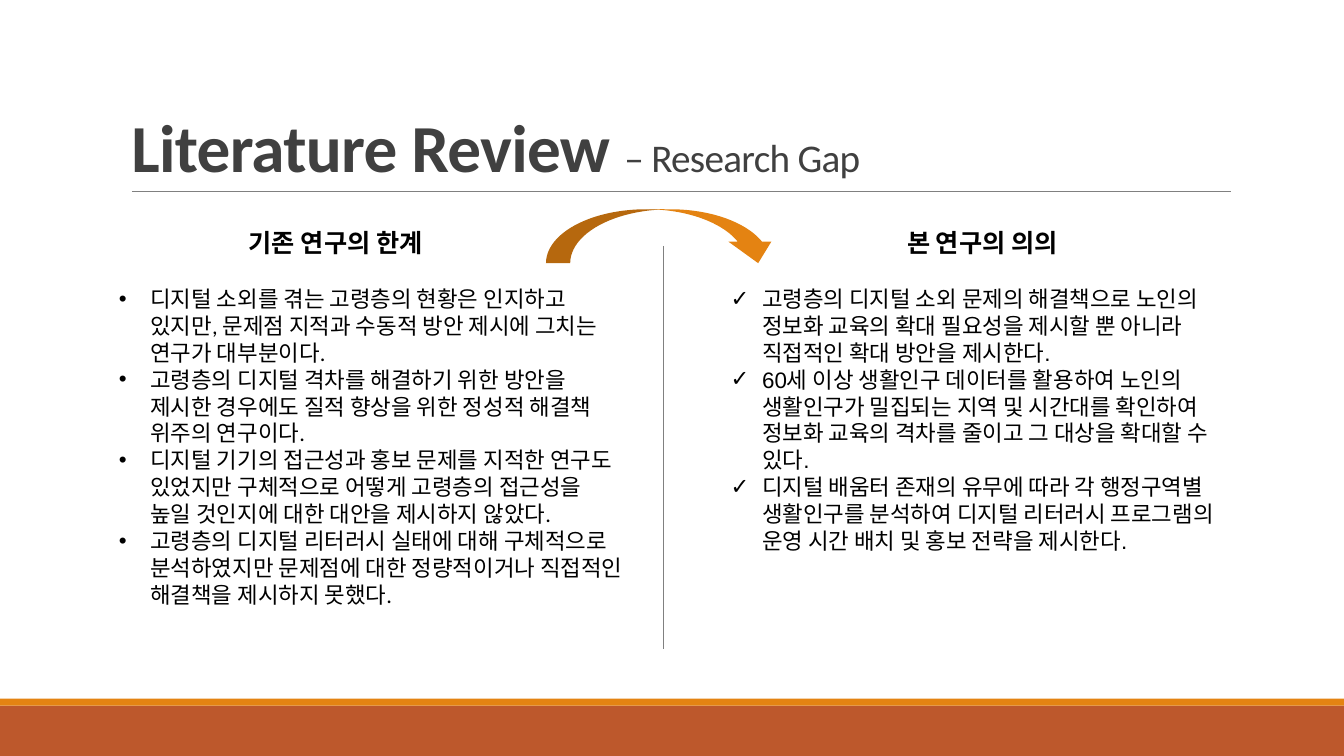
"""Build the research gap slide: earlier limits on the left, this study's value on the right."""
from dataclasses import dataclass

from lxml.etree import SubElement
from pptx import Presentation
from pptx.dml.color import RGBColor as Color
from pptx.enum.shapes import MSO_CONNECTOR as Connector, MSO_SHAPE as Shape
from pptx.enum.text import MSO_ANCHOR as Anchor, MSO_AUTO_SIZE as AutoSize, PP_ALIGN as Align
from pptx.oxml.ns import qn
from pptx.util import Pt


@dataclass(frozen=True)
class Theme:
    rust: Color = Color.from_string("BD582C")
    orange: Color = Color.from_string("E48312")
    rule: Color = Color.from_string("808080")
    title: Color = Color.from_string("404040")
    text: Color = Color.from_string("000000")
    latin: str = "Calibri"
    plain: str = "Arial"
    title_size: Pt = Pt(48)
    subtitle_size: Pt = Pt(28)
    heading_size: Pt = Pt(18)
    body_size: Pt = Pt(16)


def add_span(para, text, color, **formats):
    span = para.add_run()
    span.text = text
    span.font.color.rgb = color
    for name, value in formats.items():
        setattr(span.font, name, value)
    return span


def add_box(page, left, top, width, height):
    box = page.shapes.add_textbox(Pt(left), Pt(top), Pt(width), Pt(height))
    box.text_frame.word_wrap = True
    return box.text_frame


theme = Theme()
deck = Presentation()
deck.slide_width, deck.slide_height = Pt(960), Pt(540)
page = deck.slides.add_slide(deck.slide_layouts[5])

shapes = [
    (Shape.RECTANGLE, 0, 504, 960, 36, theme.rust, ()),
    (Shape.RECTANGLE, 0, 499, 960, 5, theme.orange, ()),
    (Shape.CURVED_DOWN_ARROW, 390, 149.5, 167, 38.5, theme.orange, (0.45, 0.8, 0.4)),
]
for kind, left, top, width, height, color, adjustments in shapes:
    shape = page.shapes.add_shape(kind, Pt(left), Pt(top), Pt(width), Pt(height))
    shape.shadow.inherit = False
    shape.fill.solid()
    shape.fill.fore_color.rgb = color
    shape.line.fill.background()
    for index, value in enumerate(adjustments):
        shape.adjustments[index] = value

rules = [(94.3, 136.8, 879, 136.8), (474, 175.7, 474, 463.7)]
for ends in rules:
    rule = page.shapes.add_connector(Connector.STRAIGHT, *map(Pt, ends))
    rule.line.color.rgb = theme.rule
    rule.line.width = Pt(0.5)
    SubElement(rule.line._get_or_add_ln().getparent(), qn("a:effectLst"))

title = page.shapes.title
title.left, title.top, title.width, title.height = Pt(86.7), Pt(22.6), Pt(792), Pt(114.2)
frame = title.text_frame
frame.word_wrap = True
frame.auto_size = AutoSize.NONE
frame.vertical_anchor = Anchor.BOTTOM
para = frame.paragraphs[0]
para.alignment = Align.LEFT
para.line_spacing = 0.85
title_spans = [
    ("Literature Review ", theme.title_size, True),
    ("– Research Gap", theme.subtitle_size, False),
]
for text, size, bold in title_spans:
    span = add_span(para, text, theme.title, name=theme.latin, size=size, bold=bold)
    span.font._element.set("spc", "-50")

headings = [("기존 연구의 한계", 170.6, 157), ("본 연구의 의의", 640.8, 133.2)]
for text, left, width in headings:
    para = add_box(page, left, 159.1, width, 29).paragraphs[0]
    add_span(para, text, theme.text, name=theme.latin, size=theme.heading_size, bold=True)

columns = [
    (77.8, 375.8, 278.6, "•", theme.latin, [
        "디지털 소외를 겪는 고령층의 현황은 인지하고 있지만, 문제점 지적과 수동적 방안 제시에 그치는 연구가 대부분이다.",
        "고령층의 디지털 격차를 해결하기 위한 방안을 제시한 경우에도 질적 향상을 위한 정성적 해결책 위주의 연구이다.",
        "디지털 기기의 접근성과 홍보 문제를 지적한 연구도 있었지만 구체적으로 어떻게 고령층의 접근성을 높일 것인지에 대한 대안을 제시하지 않았다.",
        "고령층의 디지털 리터러시 실태에 대해 구체적으로 분석하였지만 문제점에 대한 정량적이거나 직접적인 해결책을 제시하지 못했다.",
    ]),
    (514.8, 385.2, 220.3, "✓", theme.plain, [
        "고령층의 디지털 소외 문제의 해결책으로 노인의 정보화 교육의 확대 필요성을 제시할 뿐 아니라 직접적인 확대 방안을 제시한다.",
        "60세 이상 생활인구 데이터를 활용하여 노인의 생활인구가 밀집되는 지역 및 시간대를 확인하여 정보화 교육의 격차를 줄이고 그 대상을 확대할 수 있다.",
        "디지털 배움터 존재의 유무에 따라 각 행정구역별 생활인구를 분석하여 디지털 리터러시 프로그램의 운영 시간 배치 및 홍보 전략을 제시한다.",
    ]),
]
for left, width, height, bullet, font_name, points in columns:
    frame = add_box(page, left, 200.2, width, height)
    for index, point in enumerate(points):
        para = frame.add_paragraph() if index else frame.paragraphs[0]
        properties = para._p.get_or_add_pPr()
        properties.set("marL", str(Pt(22.5)))
        properties.set("indent", str(Pt(-22.5)))
        SubElement(properties, qn("a:buFont"), typeface=theme.plain)
        SubElement(properties, qn("a:buChar"), char=bullet)
        add_span(para, point, theme.text, name=font_name, size=theme.body_size)

deck.save("out.pptx")
